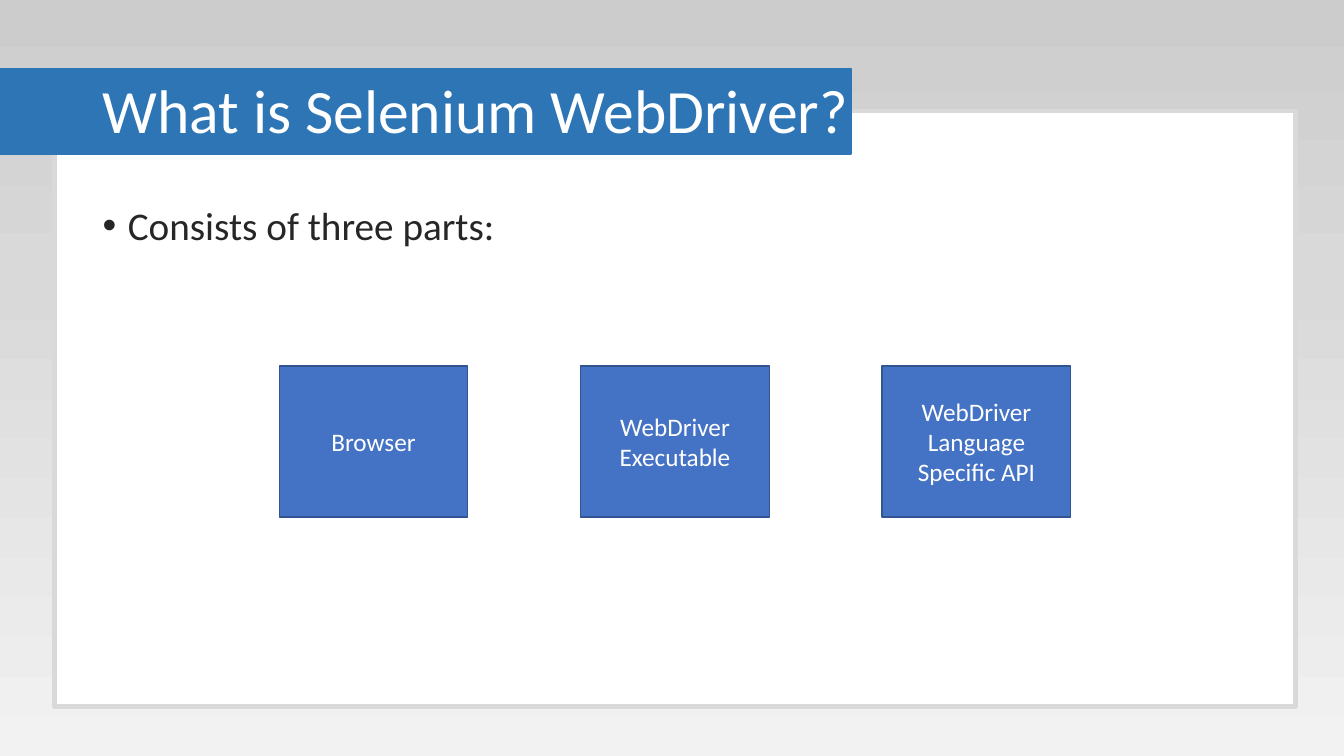
from copy import deepcopy
from dataclasses import dataclass

from pptx import Presentation
from pptx.dml.color import RGBColor
from pptx.enum.shapes import MSO_SHAPE
from pptx.enum.text import MSO_ANCHOR, PP_ALIGN
from pptx.oxml.ns import qn
from pptx.util import Inches, Pt


@dataclass(frozen=True)
class Theme:
    """Colours, font and type sizes of the slide."""
    font: str = "Calibri"
    white: str = "FFFFFF"
    ink: str = "262626"
    frame: str = "D9D9D9"
    banner: str = "2E75B6"
    tile_fill: str = "4472C4"
    tile_edge: str = "325491"
    backdrop: tuple = ((0, "CCCCCC"), (0.37, "D9D9D9"), (1, "F2F2F2"))
    title_size: int = 44
    body_size: int = 28
    tile_size: int = 18


THEME = Theme()
COMPONENTS = (("Browser",), ("WebDriver", "Executable"), ("WebDriver Language Specific API",))


def apply_format(target, values):
    """Set each named attribute of the target."""
    for name, value in values.items():
        setattr(target, name, value)


def add_panel(page, box, fill, edge, width=1):
    """Draw a filled, outlined rectangle in the box."""
    panel = page.shapes.add_shape(MSO_SHAPE.RECTANGLE, *map(Inches, box))
    panel.shadow.inherit = False
    panel.fill.solid()
    panel.fill.fore_color.rgb = RGBColor.from_string(fill)
    panel.line.color.rgb = RGBColor.from_string(edge)
    panel.line.width = Pt(width)
    return panel


def write_text(shape, lines, size, color, frame_format, para_format):
    """Write one paragraph per line and return the paragraphs."""
    frame = shape.text_frame
    apply_format(frame, {"word_wrap": True, **frame_format})
    frame.text = "\n".join(lines)
    for para in frame.paragraphs:
        apply_format(para, para_format)
        for span in para.runs:
            apply_format(span.font, {"name": THEME.font, "size": Pt(size)})
            span.font.color.rgb = RGBColor.from_string(color)
    return frame.paragraphs


def paint_backdrop(page):
    """Fill the background with a top-to-bottom grey gradient."""
    fill = page.background.fill
    fill.gradient()
    fill.gradient_angle = 270
    stop_list = next(page.element.iter(qn("a:gsLst")))
    stop_list.append(deepcopy(stop_list[-1]))
    for stop, (position, color) in zip(fill.gradient_stops, THEME.backdrop):
        stop.position = position
        stop.color.rgb = RGBColor.from_string(color)


def add_title(page, box):
    """Place the title over a banner running in from the left edge."""
    left, top, width, height = box
    add_panel(page, (0, top + 0.28, left + 7.52, 0.85), THEME.banner, THEME.banner)
    title = page.shapes.add_textbox(*map(Inches, box))
    write_text(title, ["What is Selenium WebDriver?"], THEME.title_size, THEME.white,
               {"vertical_anchor": MSO_ANCHOR.MIDDLE}, {"line_spacing": 0.9})


def add_body(page, box):
    """Place the bulleted introduction."""
    body = page.shapes.add_textbox(*map(Inches, box))
    paras = write_text(body, ["Consists of three parts:"], THEME.body_size, THEME.ink,
                       {"vertical_anchor": MSO_ANCHOR.TOP},
                       {"line_spacing": 0.9, "space_before": Pt(10)})
    for para in paras:
        properties = para._p.get_or_add_pPr()
        properties.set("marL", str(Inches(0.25)))
        properties.set("indent", str(-Inches(0.25)))
        bullet_font = properties.makeelement(qn("a:buFont"), {"typeface": "Arial"})
        bullet = properties.makeelement(qn("a:buChar"), {"char": "•"})
        properties.extend([bullet_font, bullet])


def add_components(page, box):
    """Spread the component tiles evenly across the box."""
    left, top, width, height = box
    tile_width = 1.87
    pitch = (width - tile_width) / (len(COMPONENTS) - 1)
    for index, lines in enumerate(COMPONENTS):
        tile = add_panel(page, (left + index * pitch, top, tile_width, height),
                         THEME.tile_fill, THEME.tile_edge)
        write_text(tile, lines, THEME.tile_size, THEME.white,
                   {"vertical_anchor": MSO_ANCHOR.MIDDLE}, {"alignment": PP_ALIGN.CENTER})


def main():
    """Build and save the deck."""
    deck = Presentation()
    apply_format(deck, {"slide_width": Inches(13.33), "slide_height": Inches(7.5)})
    page = deck.slides.add_slide(deck.slide_layouts[6])
    paint_backdrop(page)
    add_panel(page, (0.54, 1.1, 12.31, 5.91), THEME.white, THEME.frame, 3)
    add_title(page, (0.92, 0.4, 11.5, 1.45))
    add_body(page, (0.92, 2, 11.5, 4.76))
    add_components(page, (2.77, 3.63, 7.85, 1.5))
    deck.save("out.pptx")


if __name__ == "__main__":
    main()
